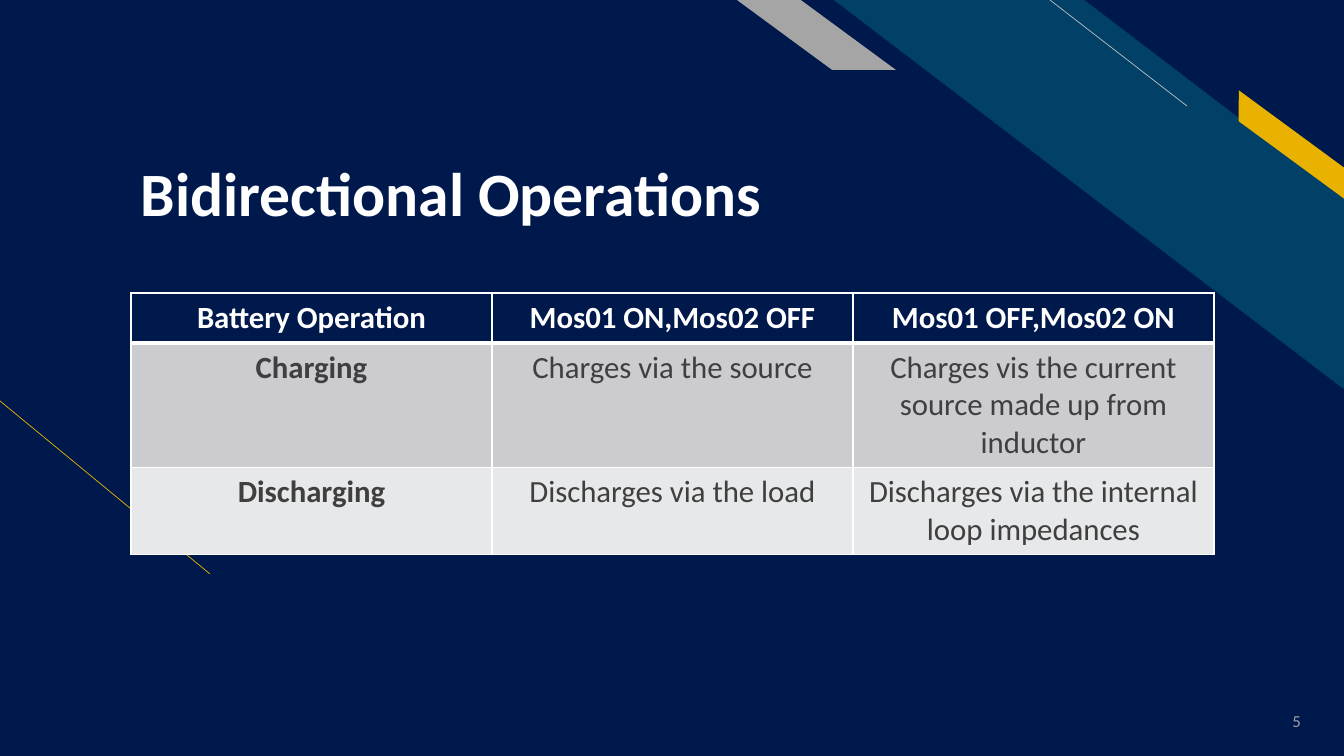
from lxml import etree
from pptx import Presentation
from pptx.dml.color import RGBColor
from pptx.enum.shapes import MSO_CONNECTOR, MSO_SHAPE
from pptx.enum.text import MSO_ANCHOR, MSO_AUTO_SIZE, PP_ALIGN
from pptx.oxml.ns import qn
from pptx.util import Pt

STRIPE = MSO_SHAPE.DIAGONAL_STRIPE
SLANT = MSO_SHAPE.PARALLELOGRAM
STRAIGHT = MSO_CONNECTOR.STRAIGHT
CENTER, LEFT, RIGHT = PP_ALIGN.CENTER, PP_ALIGN.LEFT, PP_ALIGN.RIGHT

# Content
TITLE = "Bidirectional Operations"
PAGE_NUMBER = "5"
OPERATIONS = [
    ("Battery Operation", "Mos01 ON,Mos02 OFF", "Mos01 OFF,Mos02 ON"),
    ("Charging", "Charges via the source",
     "Charges vis the current source made up from inductor"),
    ("Discharging", "Discharges via the load",
     "Discharges via the internal loop impedances"),
]


class Theme:
    font = "Calibri"
    navy, teal, gold, gray = "00194C", "014067", "EAB200", "A5A5A5"
    white, pale_line, body, page = "FFFFFF", "BFBFBF", "3F3F3F", "9F9F9F"
    row_fills = [navy, "CCCCD0", "E7E8E9"]
    title_size, table_size, page_size = 44, 22, 12
    hairline, border, header_rule = 0.5, 1, 3


# Layout, in px
SLIDE_W, SLIDE_H = 1344, 756
EMU_PER_PX = 914400 / 100.8
BANDS = [  # preset, box, adjustment, rotation, colour
    (STRIPE, (834, 0, 511, 390), 0.51, 0, Theme.teal),
    (SLANT, (1217, 132, 149, 25), 0.72, 36.3, Theme.gold),
    (SLANT, (737, 0, 159, 70), 1.36, 0, Theme.gray),
]
ACCENT_LINES = [  # start and end, colour
    ((210, 574, 0, 401), Theme.gold),
    ((1187, 106, 1050, 0), Theme.pale_line),
]
TITLE_BOX = (131, 132, 918, 164)
TITLE_INSETS = (10, 5, 10, 66)
PAGE_BOX = (1229, 701, 82, 40)
PAGE_INSETS = (10, 5, 10, 5)
TABLE_LEFT, TABLE_TOP, COLUMN_W = 131, 293, 361
ROW_HEIGHTS = [50, 124, 87]
CELL_INSETS = (12, 6, 12, 6)


def px(length):
    return round(length * EMU_PER_PX)


def box(lengths):
    return [px(length) for length in lengths]


def rgb(code):
    return RGBColor.from_string(code)


def write(frame, text, size, color, align, bold=False):
    frame.text = text
    frame.word_wrap = True
    paragraph = frame.paragraphs[0]
    paragraph.alignment = align
    font = paragraph.runs[0].font
    font.name, font.size, font.bold = Theme.font, Pt(size), bold
    font.color.rgb = rgb(color)
    return paragraph


def set_insets(holder, insets):
    (holder.margin_left, holder.margin_top,
     holder.margin_right, holder.margin_bottom) = box(insets)


def add_band(slide, preset, place, adjustment, rotation, color):
    band = slide.shapes.add_shape(preset, *box(place))
    band.adjustments[0] = adjustment
    band.rotation = rotation
    band.shadow.inherit = False
    band.fill.solid()
    band.fill.fore_color.rgb = rgb(color)
    band.line.fill.background()
    band._element.spPr.find(qn("a:xfrm")).set("flipH", "1")


def add_accent_line(slide, ends, color):
    accent = slide.shapes.add_connector(STRAIGHT, *box(ends))
    accent.line.color.rgb = rgb(color)
    accent.line.width = Pt(Theme.hairline)
    etree.SubElement(accent._element.spPr, qn("a:effectLst"))


def set_borders(cell, top, bottom):
    properties = cell._tc.get_or_add_tcPr()
    widths = {"lnL": Theme.border, "lnR": Theme.border,
              "lnT": top, "lnB": bottom}
    for position, (side, width) in enumerate(widths.items()):
        edge = etree.Element(qn(f"a:{side}"), w=str(Pt(width)))
        fill = etree.SubElement(edge, qn("a:solidFill"))
        etree.SubElement(fill, qn("a:srgbClr"), val=Theme.white)
        properties.insert(position, edge)


def add_operations_table(slide):
    columns = len(OPERATIONS[0])
    table = slide.shapes.add_table(
        len(OPERATIONS), columns,
        *box((TABLE_LEFT, TABLE_TOP, COLUMN_W * columns, sum(ROW_HEIGHTS))),
    ).table
    for column in table.columns:
        column.width = px(COLUMN_W)
    for r, entries in enumerate(OPERATIONS):
        table.rows[r].height = px(ROW_HEIGHTS[r])
        for c, entry in enumerate(entries):
            cell = table.cell(r, c)
            write(cell.text_frame, entry, Theme.table_size,
                  Theme.white if r == 0 else Theme.body, CENTER,
                  bold=r == 0 or c == 0)
            set_insets(cell, CELL_INSETS)
            cell.fill.solid()
            cell.fill.fore_color.rgb = rgb(Theme.row_fills[r])
            set_borders(cell,
                        top=Theme.header_rule if r == 1 else Theme.border,
                        bottom=Theme.header_rule if r == 0 else Theme.border)


def main():
    deck = Presentation()
    deck.slide_width, deck.slide_height = px(SLIDE_W), px(SLIDE_H)
    slide = deck.slides.add_slide(deck.slide_layouts[5])

    # Background and decoration
    slide.background.fill.solid()
    slide.background.fill.fore_color.rgb = rgb(Theme.navy)
    for band in BANDS:
        add_band(slide, *band)
    for accent in ACCENT_LINES:
        add_accent_line(slide, *accent)

    # Title
    title = slide.shapes.title
    title.left, title.top, title.width, title.height = box(TITLE_BOX)
    heading = write(title.text_frame, TITLE, Theme.title_size, Theme.white,
                    LEFT, bold=True)
    heading.line_spacing = 0.9
    title.text_frame.auto_size = MSO_AUTO_SIZE.NONE
    title.text_frame.vertical_anchor = MSO_ANCHOR.BOTTOM
    set_insets(title.text_frame, TITLE_INSETS)

    # Table
    add_operations_table(slide)

    # Page number
    page = slide.shapes.add_textbox(*box(PAGE_BOX)).text_frame
    write(page, PAGE_NUMBER, Theme.page_size, Theme.page, RIGHT)
    page.vertical_anchor = MSO_ANCHOR.MIDDLE
    set_insets(page, PAGE_INSETS)

    deck.save("out.pptx")


if __name__ == "__main__":
    main()
